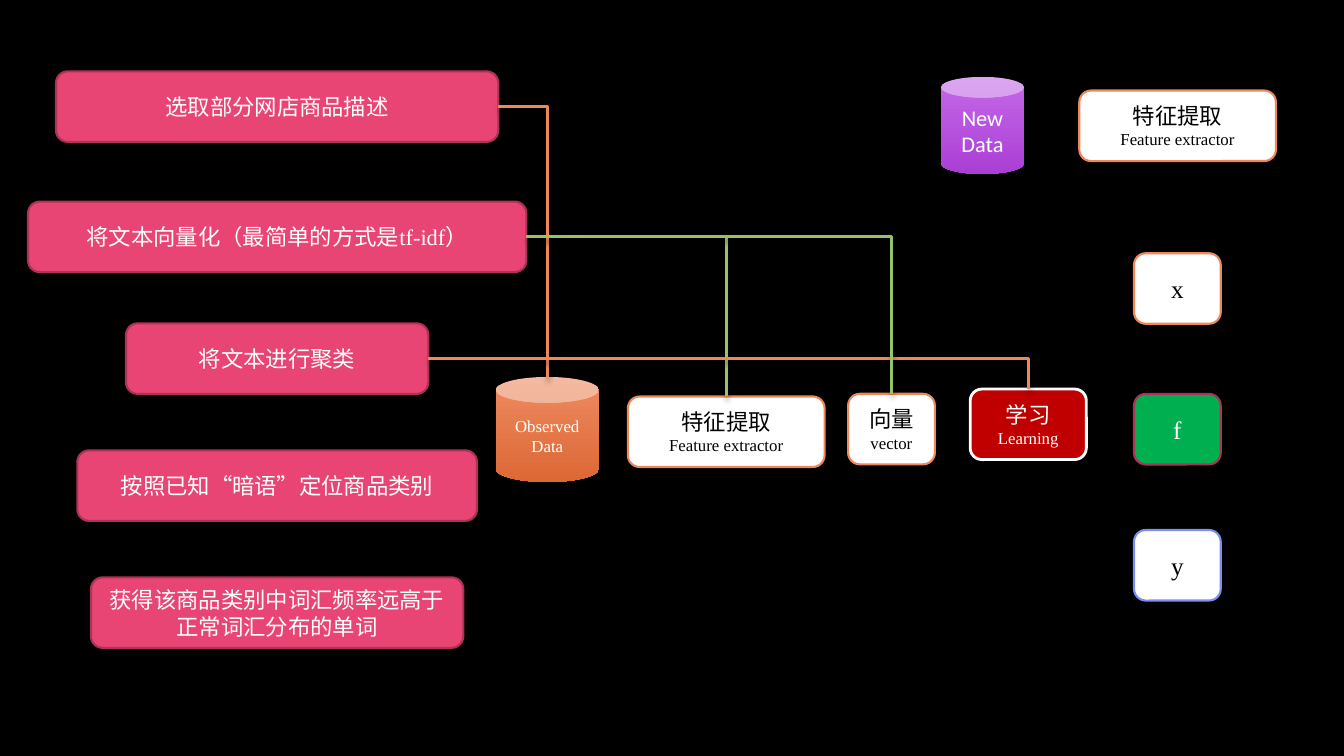
from lxml.etree import SubElement
from pptx import Presentation
from pptx.dml.color import RGBColor
from pptx.enum.shapes import MSO_CONNECTOR, MSO_SHAPE
from pptx.enum.text import MSO_ANCHOR, PP_ALIGN
from pptx.oxml.ns import qn
from pptx.util import Pt

BLACK = RGBColor(0, 0, 0)
WHITE = RGBColor(255, 255, 255)
PINK = RGBColor(0xE8, 0x45, 0x74)
WINE = RGBColor(0xAC, 0x33, 0x56)
CORAL = RGBColor(0xEE, 0x87, 0x5A)
LIME = RGBColor(0x95, 0xC3, 0x69)
BLUE = RGBColor(0x79, 0x8F, 0xF2)
RED = RGBColor(0xC0, 0, 0)
GREEN = RGBColor(0, 0xB0, 0x50)
RUST = (RGBColor(0xEE, 0x8B, 0x61), RGBColor(0xDC, 0x68, 0x35))
PLUM = (RGBColor(0xC4, 0x69, 0xE8), RGBColor(0xAB, 0x3F, 0xD5))

HAN = {"name": "Noto Sans CJK SC", "size": Pt(16)}
LATIN = {"name": "Times New Roman", "size": Pt(12)}
INLINE = {"name": "Times New Roman", "size": Pt(16)}
SYMBOL = {"name": "Times New Roman", "size": Pt(18)}
SANS = {"name": "Calibri", "size": Pt(16)}
FRAME = {"word_wrap": True, "vertical_anchor": MSO_ANCHOR.MIDDLE}
HIGH = 50.4  # height of every rounded box
FEATURE = [[("特征提取", HAN)], [("Feature extractor", LATIN)]]


def cast(shape, alpha, blur, dist):
    """Give a shape a black shadow falling straight down."""
    props = shape._element.spPr
    for old in props.findall(qn("a:effectLst")):
        props.remove(old)
    drop = SubElement(SubElement(props, qn("a:effectLst")), qn("a:outerShdw"),
                      blurRad=str(Pt(blur)), dist=str(Pt(dist)),
                      dir="5400000", rotWithShape="0")
    tint = SubElement(drop, qn("a:srgbClr"), val=str(BLACK))
    SubElement(tint, qn("a:alpha"), val=str(alpha * 1000))


def write(shape, lines, color):
    """Fill a shape with centred paragraphs of (text, format) runs."""
    frame = shape.text_frame
    for key, value in FRAME.items():
        setattr(frame, key, value)
    for i, runs in enumerate(lines):
        para = frame.add_paragraph() if i else frame.paragraphs[0]
        para.alignment = PP_ALIGN.CENTER
        for text, style in runs:
            run = para.add_run()
            run.text = text
            for key, value in style.items():
                setattr(run.font, key, value)
            run.font.color.rgb = color
            SubElement(run._r.rPr, qn("a:ea"), typeface=style["name"])


def card(slide, left, top, width, lines, fill=WHITE, edge=CORAL,
         ink=BLACK, weight=1.5):
    shape = slide.shapes.add_shape(MSO_SHAPE.ROUNDED_RECTANGLE, Pt(left),
                                   Pt(top), Pt(width), Pt(HIGH))
    shape.shadow.inherit = False
    shape.fill.solid()
    shape.fill.fore_color.rgb = fill
    shape.line.color.rgb = edge
    shape.line.width = Pt(weight)
    write(shape, lines, ink)
    return shape


def drum(slide, left, top, width, height, lines, shades):
    shape = slide.shapes.add_shape(MSO_SHAPE.CAN, Pt(left), Pt(top),
                                   Pt(width), Pt(height))
    shape.fill.gradient()
    shape.fill.gradient_angle = 270
    for stop, shade, place in zip(shape.fill.gradient_stops, shades, (0, 1)):
        stop.color.rgb = shade
        stop.position = place
    shape.line.fill.background()
    cast(shape, 65, 5, 3)
    write(shape, lines, WHITE)
    return shape


def steps(slide, left, top, width):
    """Stack the pink steps, centred in the column."""
    rows = [
        (0, 316, [("选取部分网店商品描述", HAN)]),
        (93, 356, [("将文本向量化（最简单的方式是", HAN),
                   ("tf-idf", INLINE), ("）", HAN)]),
        (180, 216, [("将文本进行聚类", HAN)]),
        (270.7, 285.5, [("按照已知“暗语”定位商品类别", HAN)]),
        (361.4, 266, [("获得该商品类别中词汇频率远高于正常词汇分布的单词", HAN)]),
    ]
    return [card(slide, left + (width - wide) / 2, top + down, wide, [runs],
                 PINK, WINE, WHITE) for down, wide, runs in rows]


def train(slide, left, top):
    """Lay out the training row, from data to learning."""
    data = drum(slide, left, top, 73.6, 75,
                [[("Observed", LATIN)], [("Data", LATIN)]], RUST)
    feature = card(slide, left + 94.3, top + 13.9, 140.5, FEATURE)
    vector = card(slide, left + 251.6, top + 12, 62,
                  [[("向量", HAN)], [("vector", LATIN)]])
    learn = card(slide, left + 338.8, top + 8.6, 83,
                 [[("学习", HAN)], [("Learning", LATIN)]],
                 RED, WHITE, WHITE, 2)
    return data, feature, vector, learn


def predict(slide, left, top):
    """Lay out the new data and the column x, f, y."""
    drum(slide, left, top, 59.2, 69.3,
         [[("New", SANS)], [("Data", SANS)]], PLUM)
    card(slide, left + 98.7, top + 9.8, 140.5, FEATURE)
    for name, down, fill, edge, ink in (("x", 126, WHITE, CORAL, BLACK),
                                        ("f", 226.5, GREEN, WINE, WHITE),
                                        ("y", 323.7, WHITE, BLUE, BLACK)):
        card(slide, left + 137.8, top + down, 62, [[(name, SYMBOL)]],
             fill, edge, ink)


def bend(slide, step, goal, color, inset=0):
    """Run right from a step, then down to the top of its goal."""
    line = slide.shapes.add_connector(
        MSO_CONNECTOR.ELBOW, step.left + step.width + Pt(inset),
        step.top + step.height // 2, goal.left + goal.width // 2, goal.top)
    line._element.spPr.find(qn("a:prstGeom")).set("prst", "bentConnector2")
    line.line.color.rgb = color
    line.line.width = Pt(2)
    cast(line, 35, 4, 3)


def main():
    deck = Presentation()
    deck.slide_width, deck.slide_height = Pt(960), Pt(540)
    slide = deck.slides.add_slide(deck.slide_layouts[6])
    slide.background.fill.solid()
    slide.background.fill.fore_color.rgb = BLACK

    # Boxes
    pick, encode, group = steps(slide, 20, 51, 356)[:3]
    data, feature, vector, learn = train(slide, 354.2, 269.3)
    predict(slide, 672.2, 54.9)

    # Links from the steps to the training row
    bend(slide, pick, data, CORAL)
    bend(slide, encode, feature, LIME)
    bend(slide, group, learn, CORAL)
    bend(slide, encode, vector, LIME, 36)

    deck.save("out.pptx")


if __name__ == "__main__":
    main()
